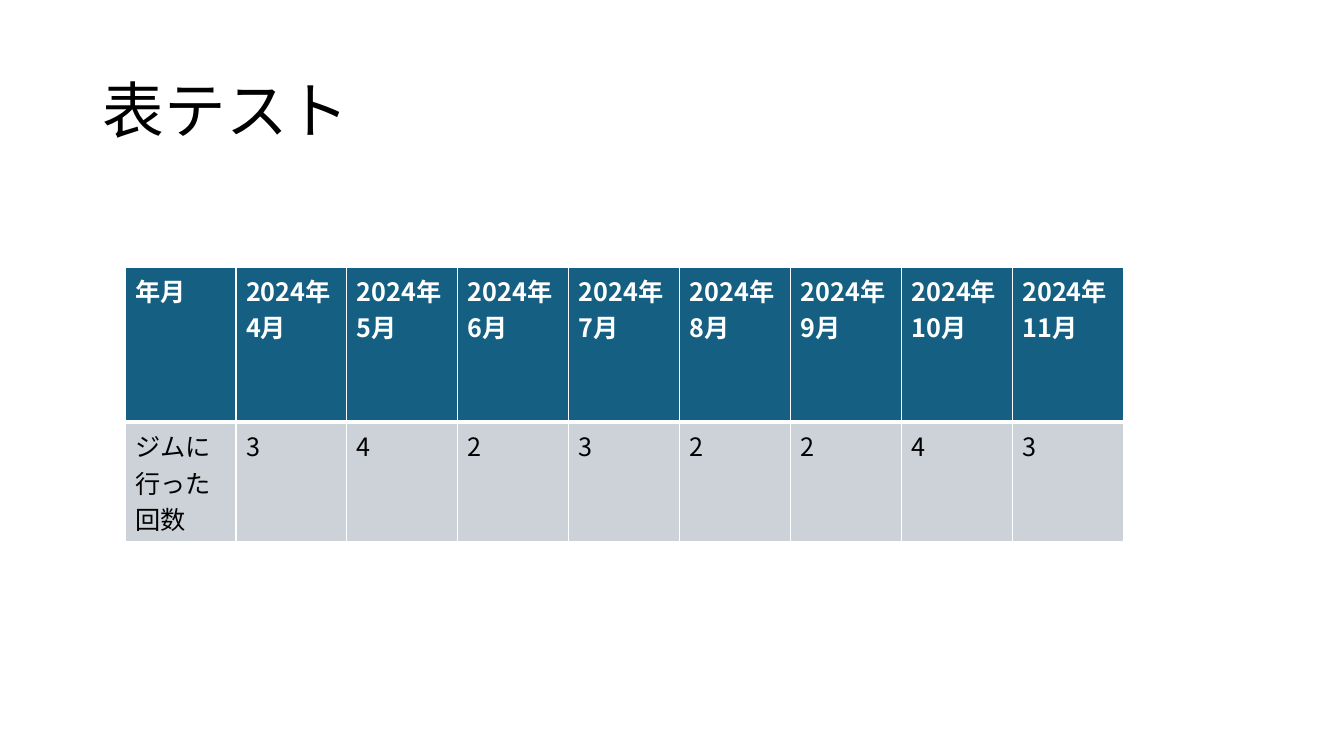
from dataclasses import dataclass

from lxml import etree
from pptx import Presentation
from pptx.dml.color import RGBColor
from pptx.enum.text import MSO_ANCHOR, MSO_AUTO_SIZE, PP_ALIGN
from pptx.oxml.ns import qn
from pptx.table import _Cell
from pptx.text.text import _Paragraph
from pptx.util import Inches, Pt

LEFT = PP_ALIGN.LEFT
MIDDLE = MSO_ANCHOR.MIDDLE
NO_AUTOFIT = MSO_AUTO_SIZE.NONE
FONT = "Noto Sans CJK JP"
COLORS = {"text": "000000", "header": "156082", "body": "CCD2D8", "white": "FFFFFF"}
TITLE_ONLY = 5
COLUMN_WIDTH = 1.1


@dataclass(frozen=True)
class RowStyle:
    height: float
    fill: str
    color: str
    bold: bool
    top_border: float
    bottom_border: float


HEADER = RowStyle(1.54, "header", "white", True, 1, 3)
BODY = RowStyle(1.16, "body", "text", False, 3, 1)

GYM_VISITS = {
    f"2024年{month}月": visits
    for month, visits in enumerate([3, 4, 2, 3, 2, 2, 4, 3], start=4)
}
ROWS = [
    (HEADER, ["年月", *GYM_VISITS]),
    (BODY, ["ジムに行った回数", *map(str, GYM_VISITS.values())]),
]


def write_text(para: _Paragraph, text: str, size: float, color: str, bold: bool) -> None:
    span = para.add_run()
    span.text = text
    for name, value in {"name": FONT, "size": Pt(size), "bold": bold}.items():
        setattr(span.font, name, value)
    span.font.color.rgb = RGBColor.from_string(COLORS[color])
    # East Asian text takes its typeface from a separate element.
    etree.SubElement(span.font._element, qn("a:ea"), typeface=FONT)


def add_borders(cell: _Cell, style: RowStyle) -> None:
    """Put white lines on all four sides, ahead of the cell's fill."""
    properties = cell._tc.get_or_add_tcPr()
    widths = {"lnL": 1, "lnR": 1, "lnT": style.top_border, "lnB": style.bottom_border}
    for position, (side, width) in enumerate(widths.items()):
        line = etree.Element(qn(f"a:{side}"), w=str(Pt(width)))
        fill = etree.SubElement(line, qn("a:solidFill"))
        etree.SubElement(fill, qn("a:srgbClr"), val=COLORS["white"])
        properties.insert(position, line)


def format_cell(cell: _Cell, text: str, style: RowStyle) -> None:
    cell.fill.solid()
    cell.fill.fore_color.rgb = RGBColor.from_string(COLORS[style.fill])
    add_borders(cell, style)
    write_text(cell.text_frame.paragraphs[0], text, 18, style.color, style.bold)


def add_title(page) -> None:
    title = page.shapes.title
    place = {"left": 0.92, "top": 0.4, "width": 11.5, "height": 1.45}
    for name, value in place.items():
        setattr(title, name, Inches(value))
    frame = title.text_frame
    layout = {"word_wrap": True, "auto_size": NO_AUTOFIT, "vertical_anchor": MIDDLE}
    for name, value in layout.items():
        setattr(frame, name, value)
    para = frame.paragraphs[0]
    para.alignment = LEFT
    para.line_spacing = 0.9
    write_text(para, "表テスト", 44, "text", False)


def add_visits_table(page) -> None:
    column_count = len(GYM_VISITS) + 1
    height = sum(style.height for style, _ in ROWS)
    table = page.shapes.add_table(
        len(ROWS), column_count, Inches(1.24), Inches(2.65),
        Inches(COLUMN_WIDTH * column_count), Inches(height),
    ).table
    for column in table.columns:
        column.width = Inches(COLUMN_WIDTH)
    for row, (style, texts) in zip(table.rows, ROWS):
        row.height = Inches(style.height)
        for cell, text in zip(row.cells, texts):
            format_cell(cell, text, style)


def main() -> None:
    deck = Presentation()
    deck.slide_width, deck.slide_height = Inches(13.33), Inches(7.5)
    page = deck.slides.add_slide(deck.slide_layouts[TITLE_ONLY])
    add_title(page)
    add_visits_table(page)
    deck.save("out.pptx")


if __name__ == "__main__":
    main()
